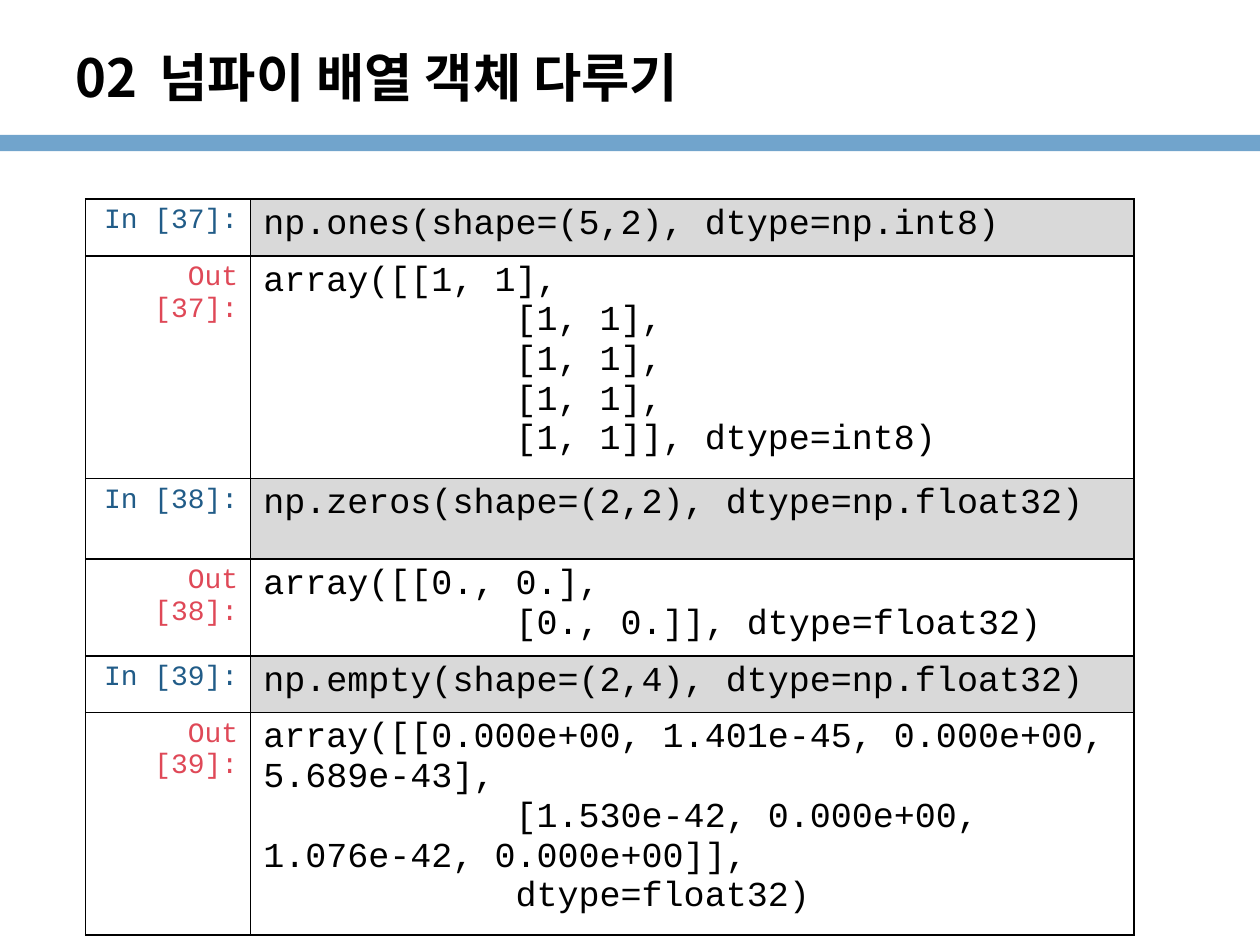
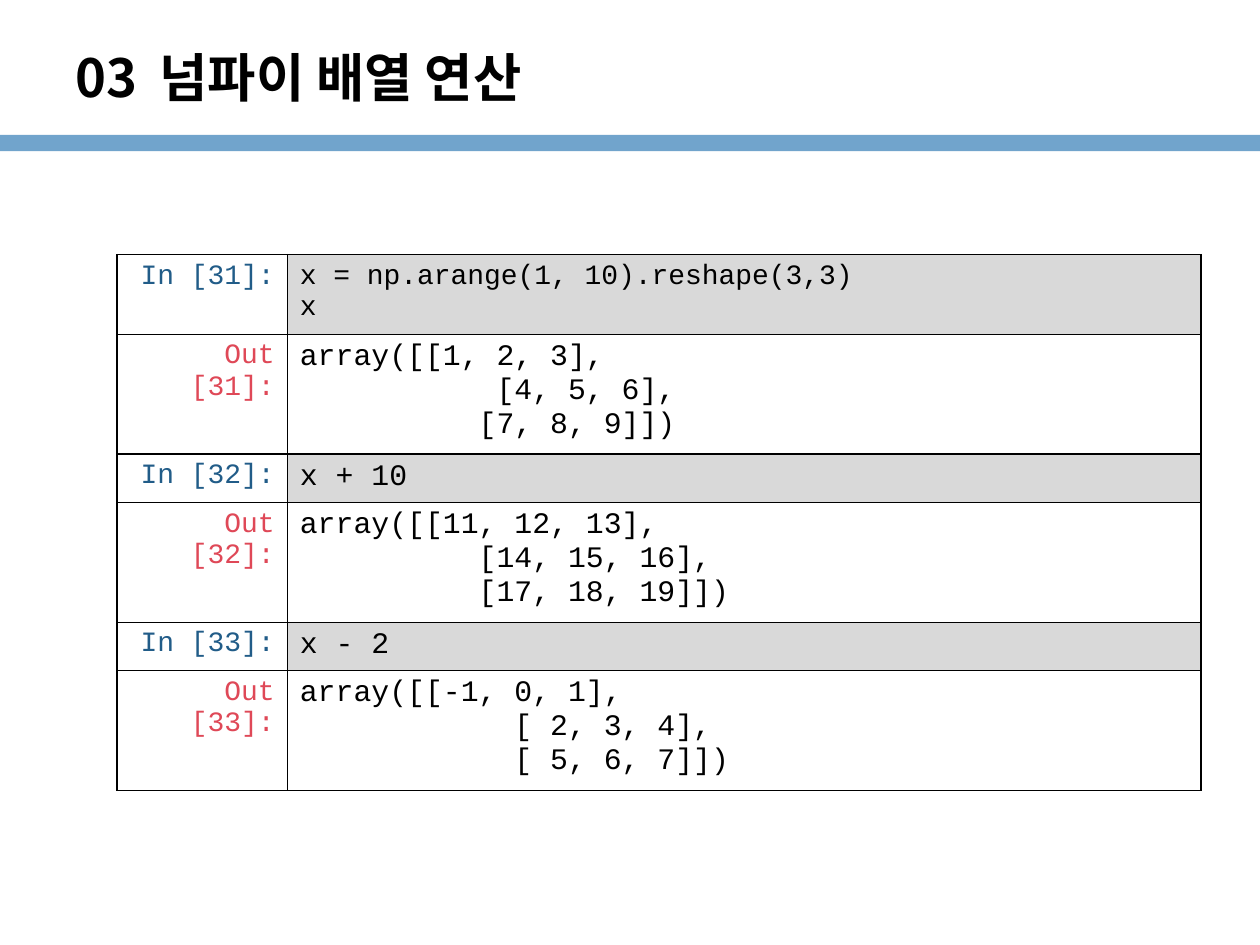
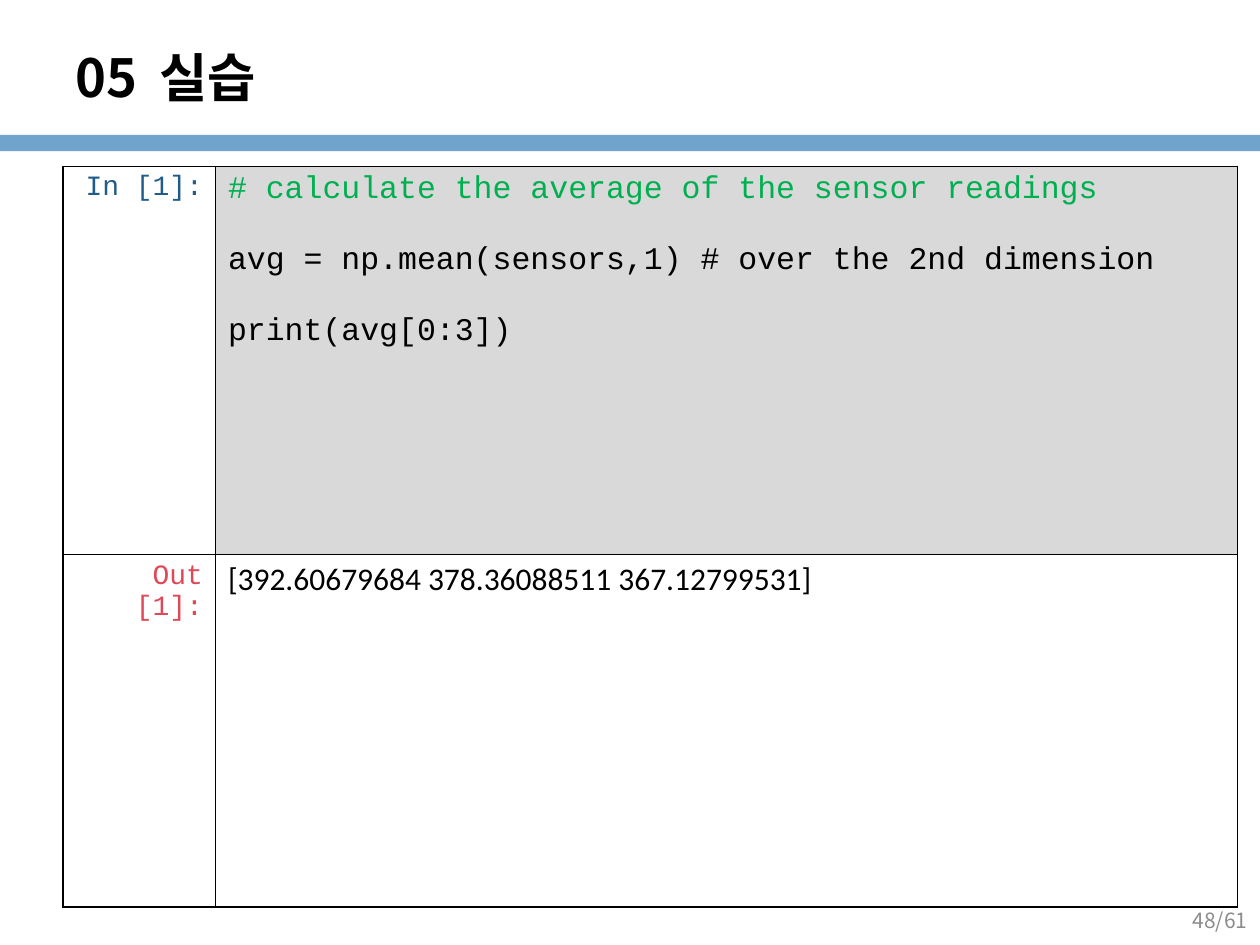
from dataclasses import dataclass

import pptx
import pptx.dml.color
import pptx.enum.shapes
import pptx.enum.text
import pptx.oxml
import pptx.oxml.ns
import pptx.util
from pptx.util import Inches

RGBColor = pptx.dml.color.RGBColor
ALIGN = pptx.enum.text.PP_ALIGN
MIDDLE = pptx.enum.text.MSO_ANCHOR.MIDDLE

BLACK = RGBColor(0x00, 0x00, 0x00)
BAND_BLUE = RGBColor(0x71, 0xA4, 0xCC)
IN_BLUE = RGBColor(0x21, 0x5C, 0x88)
OUT_RED = RGBColor(0xDF, 0x48, 0x57)
CODE_GREY = RGBColor(0xD9, 0xD9, 0xD9)
COMMENT_GREEN = RGBColor(0x00, 0xB0, 0x50)
PAGE_GREY = RGBColor(0x8C, 0x8C, 0x8C)

HEADING_FONT = "Noto Sans CJK KR"
CODE_FONT = "Courier New"
LABEL_SIZE = 16
TITLE_BOX = (0.5, 0.3, 7.83, 0.62)
BAND_BOX = (0, 1.07, 10, 0.13)
PAGE_BOX = (7.67, 7.1, 2.33, 0.4)


@dataclass
class NotebookRow:
    label: str
    lines: list
    size: int
    height: float
    font: str = CODE_FONT
    gap: int = 0


def add_span(para, text, size, color, font=CODE_FONT, bold=False):
    span = para.add_run()
    span.text = text
    span.font.size = pptx.util.Pt(size)
    span.font.name = font
    span.font.bold = bold
    span.font.color.rgb = color
    east_asian = pptx.oxml.parse_xml(
        f'<a:ea {pptx.oxml.ns.nsdecls("a")} typeface="{font}"/>')
    span.font._element.find(pptx.oxml.ns.qn("a:latin")).addnext(east_asian)
    return span


def add_text_box(slide, box):
    frame = slide.shapes.add_textbox(*map(Inches, box)).text_frame
    frame.word_wrap = True
    frame.vertical_anchor = MIDDLE
    return frame.paragraphs[0]


def add_heading(slide, number, title):
    band = slide.shapes.add_shape(
        pptx.enum.shapes.MSO_SHAPE.RECTANGLE, *map(Inches, BAND_BOX))
    band.shadow.inherit = False
    band.fill.solid()
    band.fill.fore_color.rgb = BAND_BLUE
    band.line.fill.background()
    para = add_text_box(slide, TITLE_BOX)
    for text in (number, " ", title):
        span = add_span(para, text, 30, BLACK, HEADING_FONT, True)
        if text == " ":
            span.font._element.set("spc", "600")


def add_page_number(slide, text):
    para = add_text_box(slide, PAGE_BOX)
    para.alignment = ALIGN.RIGHT
    add_span(para, text, 12, PAGE_GREY, HEADING_FONT)


def style_cell(cell, fill=None):
    properties = cell._tc.get_or_add_tcPr()
    for side in ("lnL", "lnR", "lnT", "lnB"):
        properties.append(pptx.oxml.parse_xml(
            f'<a:{side} {pptx.oxml.ns.nsdecls("a")} w="12700"><a:solidFill>'
            f'<a:srgbClr val="{BLACK}"/></a:solidFill></a:{side}>'))
    if fill is None:
        cell.fill.background()
    else:
        cell.fill.solid()
        cell.fill.fore_color.rgb = fill


def fill_code(cell, row):
    for index, line in enumerate(row.lines):
        frame = cell.text_frame
        para = frame.add_paragraph() if index else frame.paragraphs[0]
        if index and row.gap:
            para.space_before = pptx.util.Pt(row.gap)
        color = COMMENT_GREEN if line.startswith("#") else BLACK
        add_span(para, line, row.size, color, row.font)


def add_notebook(slide, left, top, widths, rows):
    height = sum(row.height for row in rows)
    table = slide.shapes.add_table(
        len(rows), 2, Inches(left), Inches(top),
        Inches(sum(widths)), Inches(height)).table
    table.first_row = False
    table.horz_banding = False
    for column, width in zip(table.columns, widths):
        column.width = Inches(width)
    for index, row in enumerate(rows):
        table.rows[index].height = Inches(row.height)
        label_cell, code_cell = table.rows[index].cells
        is_input = row.label.startswith("In")
        style_cell(label_cell)
        style_cell(code_cell, CODE_GREY if is_input else None)
        para = label_cell.text_frame.paragraphs[0]
        para.alignment = ALIGN.RIGHT
        add_span(para, row.label, LABEL_SIZE, IN_BLUE if is_input else OUT_RED)
        fill_code(code_cell, row)


def add_notebook_slide(deck, number, title, left, top, widths, rows):
    slide = deck.slides.add_slide(deck.slide_layouts[6])
    add_heading(slide, number, title)
    add_notebook(slide, left, top, widths, rows)
    return slide


CREATION_ROWS = [
    NotebookRow("In [37]:", ["np.ones(shape=(5,2), dtype=np.int8)"], 20, 0.45),
    NotebookRow("Out [37]:", ["array([[1, 1],"] + ["            [1, 1],"] * 3
                + ["            [1, 1]], dtype=int8)"], 20, 1.51),
    NotebookRow("In [38]:", ["np.zeros(shape=(2,2), dtype=np.float32)"], 20, 0.64),
    NotebookRow("Out [38]:", ["array([[0., 0.],",
                              "            [0., 0.]], dtype=float32)"], 20, 0.71),
    NotebookRow("In [39]:", ["np.empty(shape=(2,4), dtype=np.float32)"], 20, 0.45),
    NotebookRow("Out [39]:", [
        "array([[0.000e+00, 1.401e-45, 0.000e+00, 5.689e-43],",
        "            [1.530e-42, 0.000e+00, 1.076e-42, 0.000e+00]],",
        "            dtype=float32)"], 20, 0.98),
]

ARITHMETIC_ROWS = [
    NotebookRow("In [31]:", ["x = np.arange(1, 10).reshape(3,3)", "x"], 16, 0.53),
    NotebookRow("Out [31]:", ["array([[1, 2, 3],",
                              "           [4, 5, 6],",
                              "          [7, 8, 9]])"], 17, 0.62),
    NotebookRow("In [32]:", ["x + 10"], 17, 0.34),
    NotebookRow("Out [32]:", ["array([[11, 12, 13],",
                              "          [14, 15, 16],",
                              "          [17, 18, 19]])"], 17, 0.62),
    NotebookRow("In [33]:", ["x - 2"], 17, 0.34),
    NotebookRow("Out [33]:", ["array([[-1, 0, 1],",
                              "            [ 2, 3, 4],",
                              "            [ 5, 6, 7]])"], 17, 0.62),
]

PRACTICE_ROWS = [
    NotebookRow("In [1]:", ["# calculate the average of the sensor readings",
                            "avg = np.mean(sensors,1) # over the 2nd dimension",
                            "print(avg[0:3])"], 18, 3.08, gap=20),
    NotebookRow("Out [1]:", ["[392.60679684 378.36088511 367.12799531]"],
                18, 2.8, font="Calibri"),
]


def main():
    deck = pptx.Presentation()
    deck.slide_width = Inches(10)
    deck.slide_height = Inches(7.5)
    add_notebook_slide(deck, "02", "넘파이 배열 객체 다루기",
                       0.68, 1.58, (1.31, 7.01), CREATION_ROWS)
    add_notebook_slide(deck, "03", "넘파이 배열 연산",
                       0.93, 2.02, (1.35, 7.25), ARITHMETIC_ROWS)
    practice = add_notebook_slide(deck, "05", "실습",
                                  0.5, 1.32, (1.21, 8.11), PRACTICE_ROWS)
    add_page_number(practice, "48/61")
    deck.save("out.pptx")


if __name__ == "__main__":
    main()
